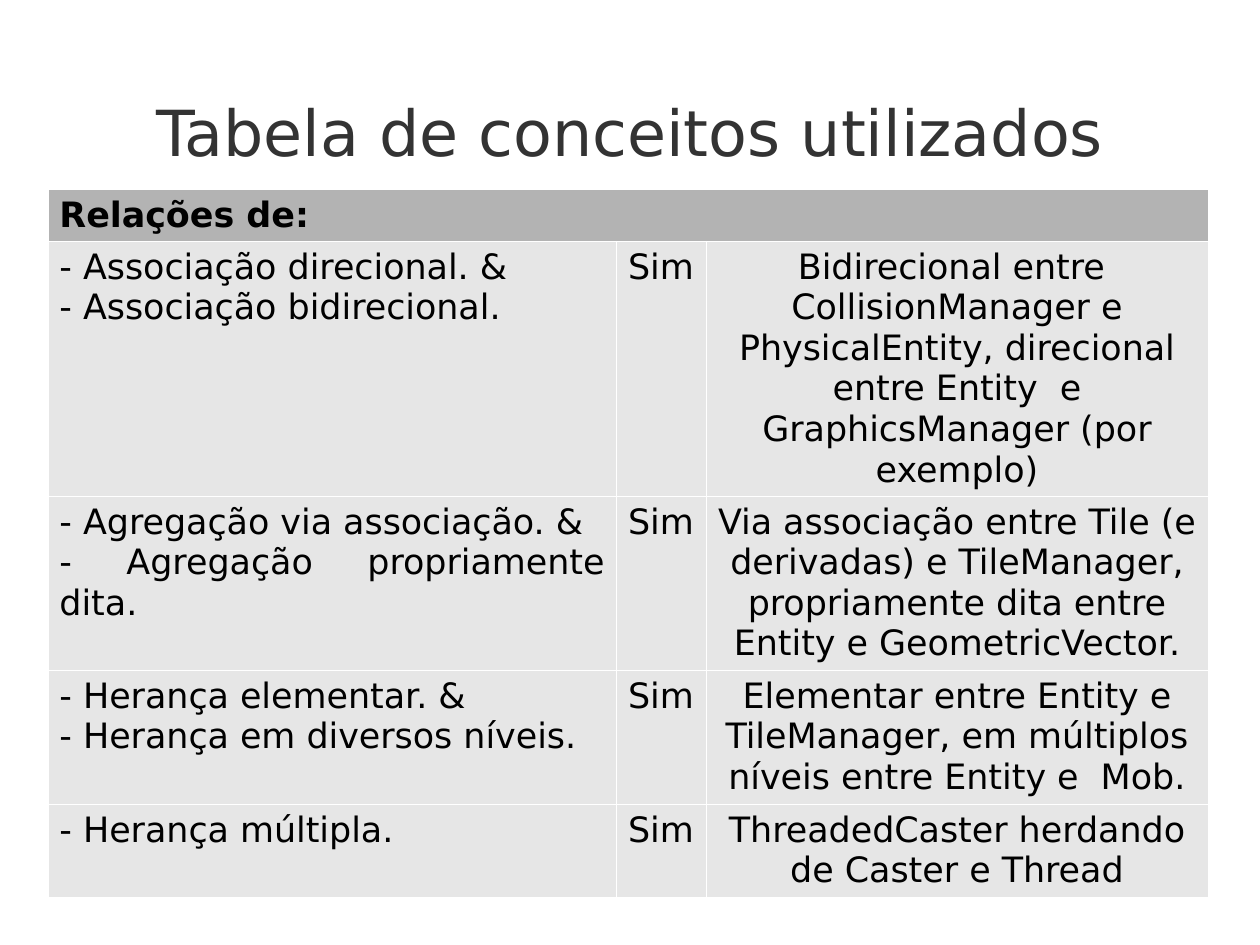
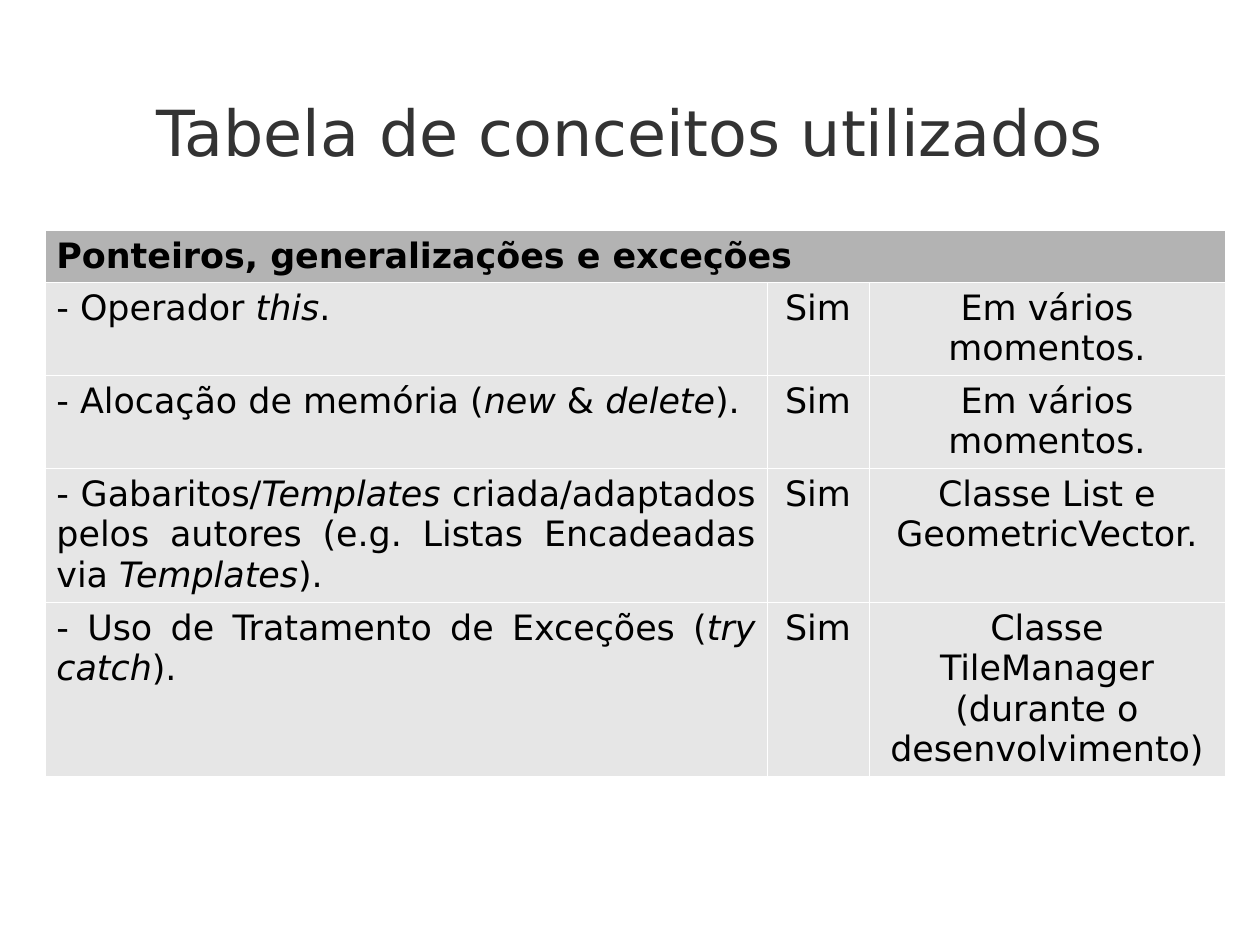
from dataclasses import dataclass

from lxml.etree import SubElement
from pptx import Presentation
from pptx.dml.color import RGBColor
from pptx.enum.text import MSO_ANCHOR, MSO_AUTO_SIZE, PP_ALIGN
from pptx.oxml.ns import qn
from pptx.util import Emu, Pt

# Content: asterisks enclose italic text
TITLE = "Tabela de conceitos utilizados"
SLIDES = [
    {
        "at": (48, 189),
        "cols": (568, 90, 502),
        "rows": (52, 255, 174, 134, 92),
        "head": "Relações de:",
        "body": [
            (["- Associação direcional. &", "- Associação bidirecional."], "Sim",
             "Bidirecional entre  CollisionManager e PhysicalEntity, direcional "
             "entre Entity  e GraphicsManager (por exemplo)"),
            (["- Agregação via associação. &", "- Agregação propriamente dita."], "Sim",
             "Via associação entre Tile (e derivadas) e TileManager, "
             "propriamente dita entre Entity e GeometricVector."),
            (["- Herança elementar. &", "- Herança em diversos níveis."], "Sim",
             "Elementar entre Entity e TileManager, em múltiplos níveis "
             "entre Entity e  Mob."),
            (["- Herança múltipla."], "Sim",
             "ThreadedCaster herdando de Caster e Thread"),
        ],
    },
    {
        "at": (45, 230),
        "cols": (722, 102, 356),
        "rows": (52, 93, 93, 134, 174),
        "head": "Ponteiros, generalizações e exceções",
        "body": [
            (["- Operador *this*."], "Sim", "Em vários momentos."),
            (["- Alocação de memória (*new* & *delete*)."], "Sim",
             "Em vários momentos."),
            (["- Gabaritos/*Templates *criada/adaptados pelos autores "
              "(e.g. Listas Encadeadas via *Templates*)."], "Sim",
             "Classe List e GeometricVector."),
            (["- Uso de Tratamento de Exceções (*try catch*)."], "Sim",
             "Classe TileManager (durante o desenvolvimento)"),
        ],
    },
]


@dataclass(frozen=True)
class Theme:
    font: str = "DejaVu Sans"
    title_size: int = 40
    cell_size: int = 22
    title: str = "333333"
    text: str = "000000"
    head_fill: str = "B3B3B3"
    body_fill: str = "E6E6E6"
    border: str = "FFFFFF"
    border_width: float = 0.06


THEME = Theme()
SLIDE_SIZE = (1260, 945)
TITLE_BOX = (88, 56, 1084, 150)


def px(n):
    return Emu(n * 8000)


def add_text(p, text, size, color, align, bold=False):
    p.alignment = align
    for i, part in enumerate(text.split("*")):
        if part:
            r = p.add_run()
            r.text = part
            r.font.name = THEME.font
            r.font.size = Pt(size)
            r.font.color.rgb = RGBColor.from_string(color)
            r.font.bold = bold
            r.font.italic = i % 2 == 1


def set_borders(cell):
    tc_pr = cell._tc.get_or_add_tcPr()
    for i, side in enumerate(("lnL", "lnR", "lnT", "lnB")):
        ln = SubElement(tc_pr, qn(f"a:{side}"), w=str(int(Pt(THEME.border_width))))
        fill = SubElement(ln, qn("a:solidFill"))
        SubElement(fill, qn("a:srgbClr"), val=THEME.border)
        tc_pr.insert(i, ln)


def fill_cell(cell, lines, fill, align, bold=False):
    cell.fill.solid()
    cell.fill.fore_color.rgb = RGBColor.from_string(fill)
    set_borders(cell)
    tf = cell.text_frame
    for i, line in enumerate(lines):
        p = tf.add_paragraph() if i else tf.paragraphs[0]
        add_text(p, line, THEME.cell_size, THEME.text, align, bold)


def add_title(s):
    title = s.shapes.title
    title.left, title.top, title.width, title.height = map(px, TITLE_BOX)
    tf = title.text_frame
    tf.margin_left = tf.margin_top = tf.margin_right = tf.margin_bottom = 0
    tf.vertical_anchor = MSO_ANCHOR.MIDDLE
    tf.auto_size = MSO_AUTO_SIZE.NONE
    tf.word_wrap = True
    add_text(tf.paragraphs[0], TITLE, THEME.title_size, THEME.title, PP_ALIGN.CENTER)


def add_concepts(s, data):
    cols, rows = data["cols"], data["rows"]
    box = (*data["at"], sum(cols), sum(rows))
    table = s.shapes.add_table(len(rows), len(cols), *map(px, box)).table
    table.first_row = table.horz_banding = False
    for col, width in zip(table.columns, cols):
        col.width = px(width)
    for row, height in zip(table.rows, rows):
        row.height = px(height)

    # Heading across all columns
    table.cell(0, 0).merge(table.cell(0, len(cols) - 1))
    for c in range(len(cols)):
        lines = [data["head"]] if c == 0 else []
        fill_cell(table.cell(0, c), lines, THEME.head_fill, PP_ALIGN.LEFT, True)

    # Concept, used or not, where
    for i, (concept, used, where) in enumerate(data["body"], 1):
        for c, lines in enumerate((concept, [used], [where])):
            align = PP_ALIGN.CENTER if c else PP_ALIGN.JUSTIFY
            fill_cell(table.cell(i, c), lines, THEME.body_fill, align)


def main():
    prs = Presentation()
    prs.slide_width, prs.slide_height = map(px, SLIDE_SIZE)
    for data in SLIDES:
        s = prs.slides.add_slide(prs.slide_layouts[5])
        add_title(s)
        add_concepts(s, data)
    prs.save("out.pptx")


if __name__ == "__main__":
    main()
